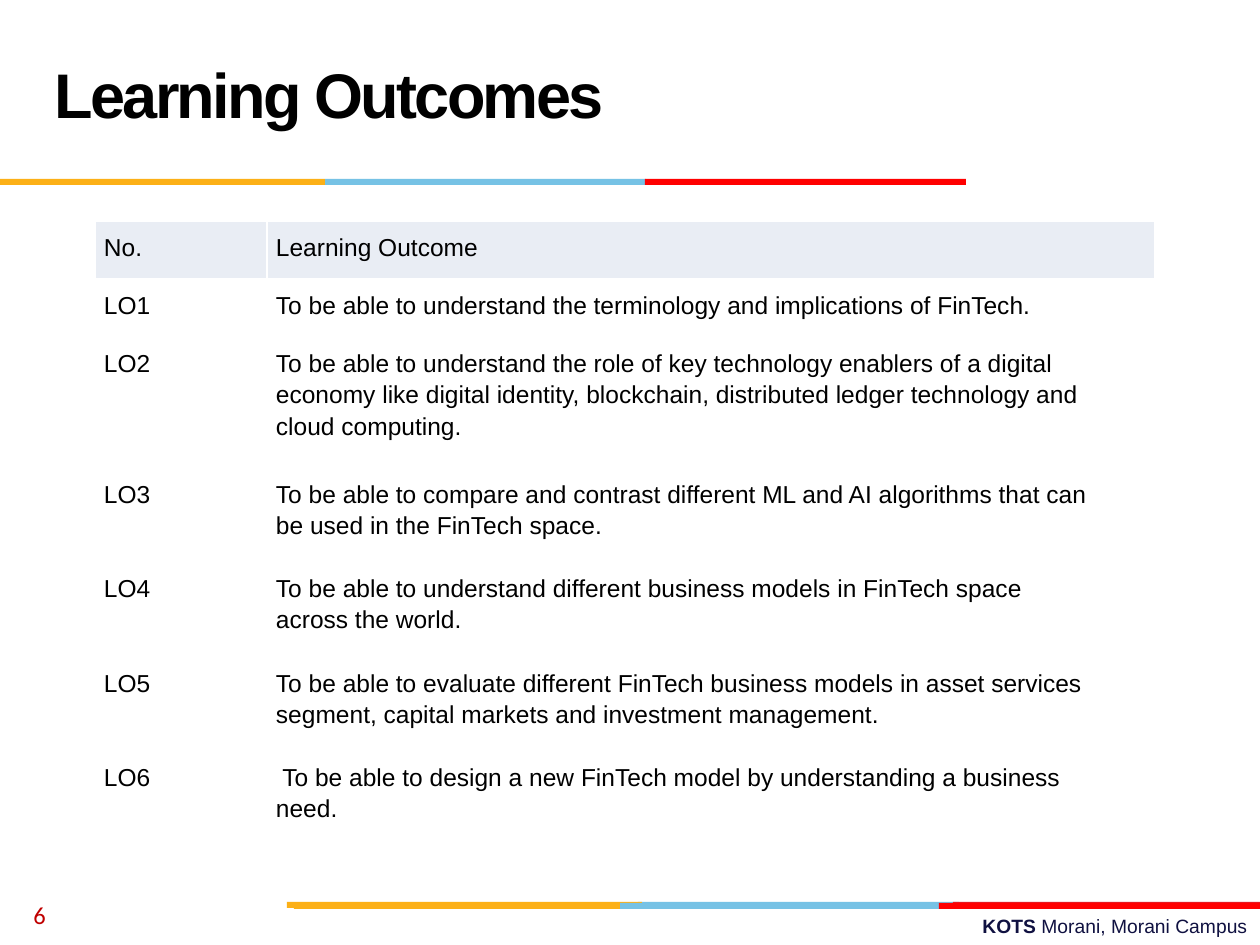
from dataclasses import dataclass

from lxml import etree
from pptx import Presentation
from pptx import util as u
from pptx.dml.color import RGBColor
from pptx.enum import shapes, text
from pptx.oxml.ns import qn

EMU_PER_PX = 914400 / 126

BLACK = RGBColor(0x00, 0x00, 0x00)
AMBER = RGBColor(0xFC, 0xB0, 0x17)
SKY = RGBColor(0x76, 0xC2, 0xE5)
CRIMSON = RGBColor(0xE3, 0x1C, 0x24)
RED = RGBColor(0xFF, 0x00, 0x00)
NAVY = RGBColor(0x10, 0x11, 0x41)
DARK_RED = RGBColor(0xC0, 0x00, 0x00)
HEADER_FILL = RGBColor(0xE9, 0xED, 0xF4)

BAR_HEIGHT = 6
CELL_MARGIN = 9
WRAP_MARGIN = 62
COLUMN_WIDTHS = (172, 888)


@dataclass(frozen=True)
class Bar:
    left: int
    top: int
    width: int
    color: RGBColor


@dataclass(frozen=True)
class Outcome:
    number: str
    description: str
    height: int


BARS = (
    Bar(638, 902, 321, SKY),
    Bar(953, 902, 307, CRIMSON),
    Bar(287, 902, 355, AMBER),
    Bar(620, 903, 321, SKY),
    Bar(294, 903, 326, AMBER),
    Bar(939, 903, 321, RED),
    Bar(325, 179, 321, SKY),
    Bar(0, 179, 325, AMBER),
    Bar(645, 179, 321, RED),
)

OUTCOMES = (
    Outcome("No.", "Learning Outcome", 58),
    Outcome("LO1", "To be able to understand the terminology and implications of FinTech.", 58),
    Outcome(
        "LO2",
        "To be able to understand the role of key technology enablers of a digital economy "
        "like digital identity, blockchain, distributed ledger technology and cloud computing.",
        131,
    ),
    Outcome(
        "LO3",
        "To be able to compare and contrast different ML and AI algorithms that can be used "
        "in the FinTech space.",
        94,
    ),
    Outcome(
        "LO4",
        "To be able to understand different business models in FinTech space across the world.",
        95,
    ),
    Outcome(
        "LO5",
        "To be able to evaluate different FinTech business models in asset services segment, "
        "capital markets and investment management.",
        94,
    ),
    Outcome(
        "LO6",
        " To be able to design a new FinTech model by understanding a business need.",
        58,
    ),
)


def px(length: int) -> u.Emu:
    return u.Emu(round(length * EMU_PER_PX))


def set_font(paragraph, name: str, size: int, color: RGBColor) -> None:
    paragraph.font.name = name
    paragraph.font.size = u.Pt(size)
    paragraph.font.color.rgb = color


def add_bar(slide, bar: Bar) -> None:
    shape = slide.shapes.add_shape(
        shapes.MSO_SHAPE.RECTANGLE, px(bar.left), px(bar.top), px(bar.width), px(BAR_HEIGHT)
    )
    shape.shadow.inherit = False
    shape.fill.solid()
    shape.fill.fore_color.rgb = bar.color
    shape.line.fill.background()


def add_text(slide, left: int, top: int, width: int, height: int, anchor):
    frame = slide.shapes.add_textbox(px(left), px(top), px(width), px(height)).text_frame
    frame.word_wrap = True
    frame.vertical_anchor = anchor
    return frame.paragraphs[0]


def add_borders(cell) -> None:
    properties = cell._tc.get_or_add_tcPr()
    for index, side in enumerate(("a:lnL", "a:lnR", "a:lnT", "a:lnB")):
        line = etree.Element(qn(side), w=str(u.Pt(1)))
        fill = etree.SubElement(line, qn("a:solidFill"))
        etree.SubElement(fill, qn("a:srgbClr"), val="FFFFFF")
        properties.insert(index, line)


def fill_cell(cell, wording: str, right_margin: int, is_header: bool) -> None:
    cell.margin_left = cell.margin_top = cell.margin_bottom = px(CELL_MARGIN)
    cell.margin_right = px(right_margin)
    if is_header:
        cell.fill.solid()
        cell.fill.fore_color.rgb = HEADER_FILL
    else:
        cell.fill.background()
    paragraph = cell.text_frame.paragraphs[0]
    paragraph.text = wording
    paragraph.line_spacing = 1.15
    set_font(paragraph, "Arial", 14, BLACK)
    add_borders(cell)


def add_outcome_table(slide) -> None:
    table = slide.shapes.add_table(
        len(OUTCOMES),
        len(COLUMN_WIDTHS),
        px(95),
        px(221),
        px(sum(COLUMN_WIDTHS)),
        px(sum(outcome.height for outcome in OUTCOMES)),
    ).table
    table.first_row = False
    table.horz_banding = False
    for column, width in zip(table.columns, COLUMN_WIDTHS):
        column.width = px(width)
    for index, outcome in enumerate(OUTCOMES):
        table.rows[index].height = px(outcome.height)
        is_header = index == 0
        fill_cell(table.cell(index, 0), outcome.number, CELL_MARGIN, is_header)
        fill_cell(table.cell(index, 1), outcome.description, WRAP_MARGIN, is_header)


def add_footer(slide) -> None:
    footer = add_text(slide, 451, 908, 809, 37, text.MSO_ANCHOR.TOP)
    footer.alignment = text.PP_ALIGN.RIGHT
    set_font(footer, "Arial", 11, NAVY)
    for wording, bold in (("KOTS ", True), ("Morani, Morani Campus", False)):
        run = footer.add_run()
        run.text = wording
        run.font.bold = bold


def add_title(slide) -> None:
    title = add_text(slide, 42, 21, 872, 158, text.MSO_ANCHOR.MIDDLE)
    run = title.add_run()
    run.text = "Learning Outcomes"
    run._r.get_or_add_rPr().set("spc", "-150")
    title.line_spacing = u.Pt(36)
    title.font.bold = True
    set_font(title, "Arial", 36, BLACK)


def main() -> None:
    presentation = Presentation()
    presentation.slide_width = px(1260)
    presentation.slide_height = px(945)
    slide = presentation.slides.add_slide(presentation.slide_layouts[6])
    add_footer(slide)
    for bar in BARS:
        add_bar(slide, bar)
    add_title(slide)
    number = add_text(slide, 21, 890, 294, 50, text.MSO_ANCHOR.MIDDLE)
    number.text = "6"
    set_font(number, "Calibri", 14, DARK_RED)
    add_outcome_table(slide)
    presentation.save("out.pptx")


if __name__ == "__main__":
    main()
